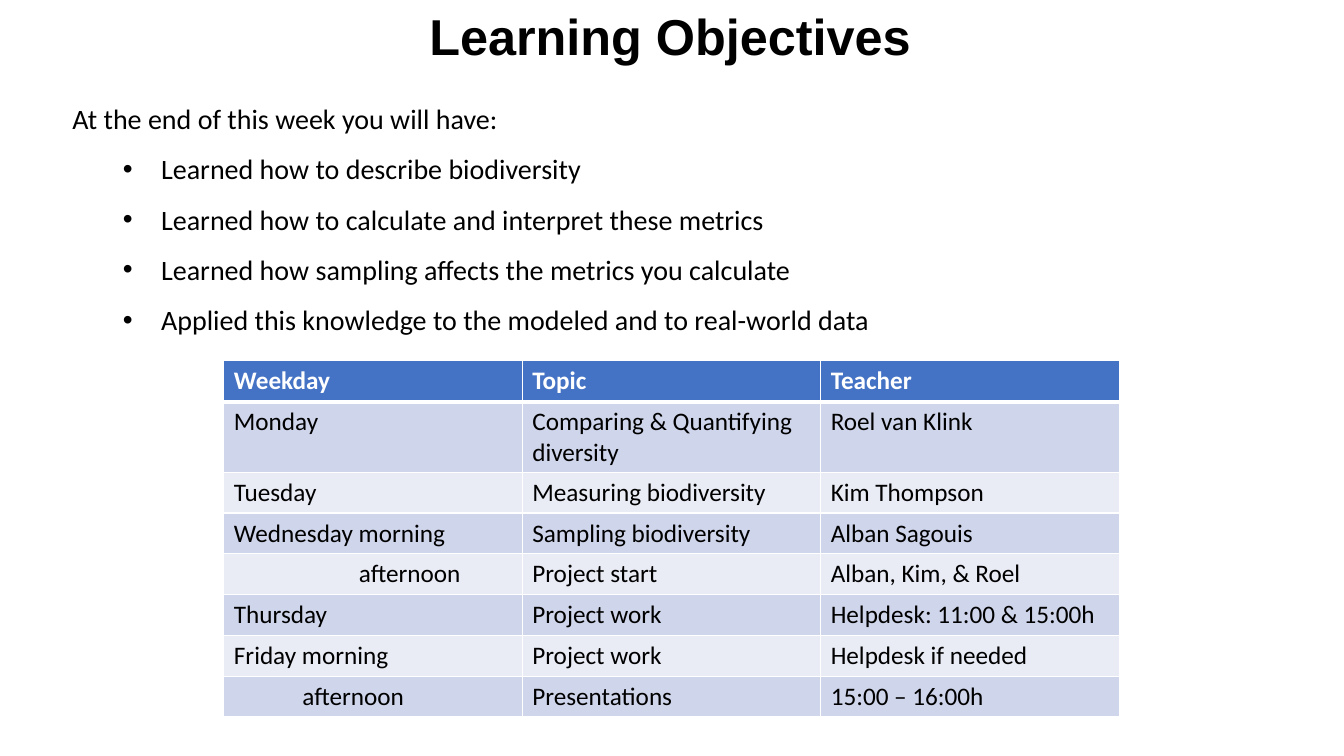
from lxml import etree
from pptx import Presentation
from pptx import util as u
from pptx.dml.color import RGBColor
from pptx.enum import text
from pptx.oxml import ns


def add_run(p, words, size, color="000000", bold=False, font="Calibri"):
    r = p.add_run()
    r.text = words
    r.font.size = u.Pt(size)
    r.font.name = font
    r.font.bold = bold
    r.font.color.rgb = RGBColor.from_string(color)


def add_border(cell, index, side, points):
    ln = etree.Element(ns.qn("a:" + side), w=str(u.Pt(points)))
    fill = etree.SubElement(ln, ns.qn("a:solidFill"))
    etree.SubElement(fill, ns.qn("a:srgbClr"), val="FFFFFF")
    cell._tc.get_or_add_tcPr().insert(index, ln)


prs = Presentation()
prs.slide_width = u.Inches(13.33)
prs.slide_height = u.Inches(7.5)
s = prs.slides.add_slide(prs.slide_layouts[6])

title = s.shapes.add_textbox(u.Inches(4.16), 0, u.Inches(5.03), u.Inches(0.71))
tf = title.text_frame
tf.word_wrap = False
tf.auto_size = text.MSO_AUTO_SIZE.SHAPE_TO_FIT_TEXT
add_run(tf.paragraphs[0], "Learning Objectives", 36, bold=True, font="Arial")

objectives = [
    "Learned how to describe biodiversity",
    "Learned how to calculate and interpret these metrics",
    "Learned how sampling affects the metrics you calculate",
    "Applied this knowledge to the modeled and to real-world data",
]
body = s.shapes.add_textbox(u.Inches(0.62), u.Inches(0.79), u.Inches(10.2), u.Inches(2.57))
tf = body.text_frame
tf.word_wrap = True
tf.auto_size = text.MSO_AUTO_SIZE.SHAPE_TO_FIT_TEXT
p = tf.paragraphs[0]
p.line_spacing = 1.5
add_run(p, "At the end of this week you will have:", 20)
for objective in objectives:
    p = tf.add_paragraph()
    p.level = 1
    p.line_spacing = 1.5
    pPr = p._p.get_or_add_pPr()
    pPr.set("marL", str(u.Inches(0.88)))
    pPr.set("indent", str(u.Inches(-0.38)))
    etree.SubElement(pPr, ns.qn("a:buFont"), typeface="Arial")
    etree.SubElement(pPr, ns.qn("a:buChar"), char="•")
    add_run(p, objective, 20)

schedule = [
    ("Weekday", "Topic", "Teacher"),
    ("Monday", "Comparing & Quantifying diversity", "Roel van Klink"),
    ("Tuesday", "Measuring biodiversity", "Kim Thompson"),
    ("Wednesday morning", "Sampling biodiversity", "Alban Sagouis"),
    ("afternoon", "Project start", "Alban, Kim, & Roel"),
    ("Thursday", "Project work", "Helpdesk: 11:00 & 15:00h"),
    ("Friday morning", "Project work", "Helpdesk if needed"),
    ("afternoon", "Presentations", "15:00 – 16:00h"),
]
afternoon_indents = {4: 1.24, 7: 0.68}
row_height = u.Inches(0.405)
table = s.shapes.add_table(
    len(schedule), 3, u.Inches(2.22), u.Inches(3.58), u.Inches(8.88), row_height * len(schedule)
).table
for col in table.columns:
    col.width = u.Inches(2.96)
for i, entries in enumerate(schedule):
    table.rows[i].height = row_height
    header = i == 0
    fill = "4472C4" if header else ("E9EBF5", "CFD5EA")[i % 2]
    for j, entry in enumerate(entries):
        cell = table.cell(i, j)
        cell.fill.solid()
        cell.fill.fore_color.rgb = RGBColor.from_string(fill)
        p = cell.text_frame.paragraphs[0]
        if j == 0 and i in afternoon_indents:
            p._p.get_or_add_pPr().set("marL", str(u.Inches(afternoon_indents[i])))
        add_run(p, entry, 18, "FFFFFF" if header else "000000", header)
        top = 3 if i == 1 else 1
        bottom = 3 if header else 1
        for k, (side, points) in enumerate([("lnL", 1), ("lnR", 1), ("lnT", top), ("lnB", bottom)]):
            add_border(cell, k, side, points)

prs.save("out.pptx")
